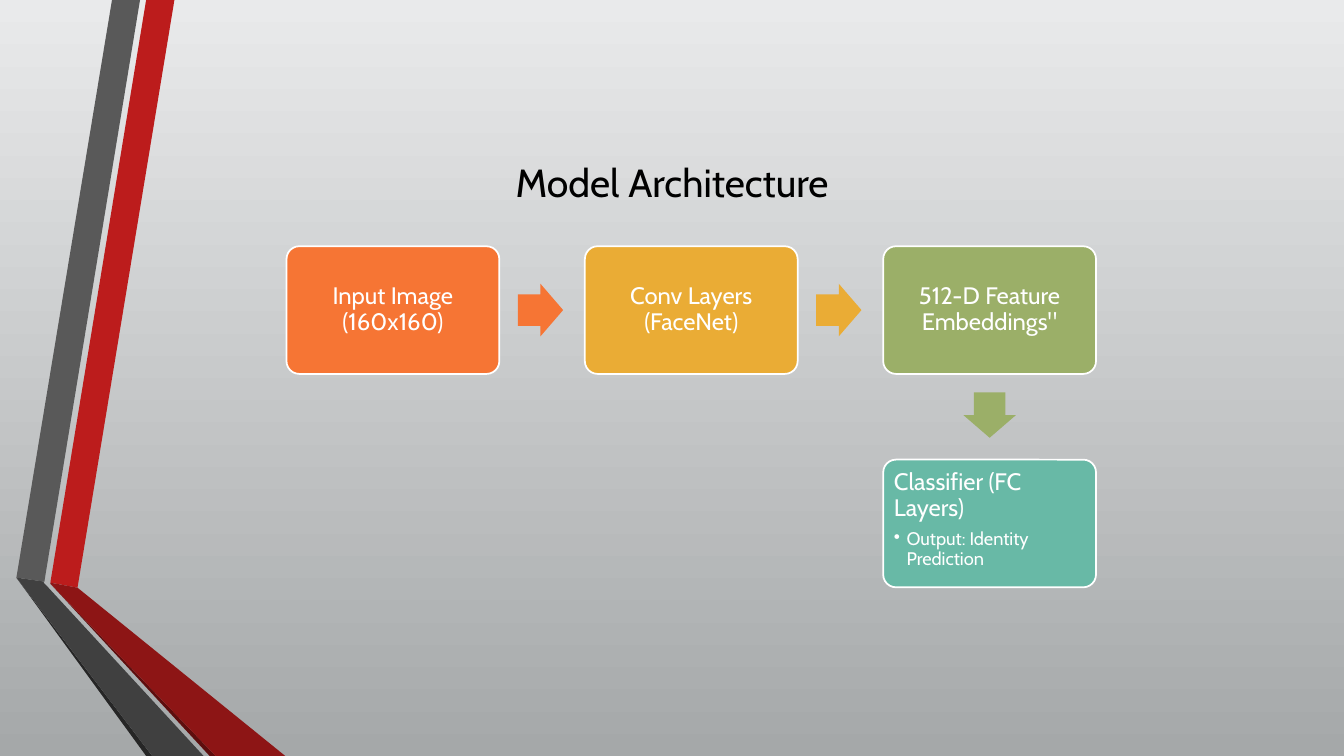
from dataclasses import dataclass

from lxml import etree
from pptx import Presentation
from pptx.dml.color import RGBColor
from pptx.enum.shapes import MSO_SHAPE
from pptx.enum.text import MSO_ANCHOR, PP_ALIGN
from pptx.oxml.ns import qn
from pptx.util import Pt

ROUNDED = MSO_SHAPE.ROUNDED_RECTANGLE
ARROW = MSO_SHAPE.RIGHT_ARROW
MIDDLE, TOP = MSO_ANCHOR.MIDDLE, MSO_ANCHOR.TOP
CENTER, LEFT = PP_ALIGN.CENTER, PP_ALIGN.LEFT


@dataclass(frozen=True)
class Theme:
    font: str = "Cabin"
    title_size: float = 28
    step_size: float = 17
    detail_size: float = 13
    title_color: str = "000000"
    step_color: str = "FFFFFF"
    background: tuple = ("E9EAEB", "A5A8A9")


THEME = Theme()

TITLE = "Model Architecture"
STEPS = [
    {"text": "Input Image (160x160)", "color": "F67534", "column": 0, "row": 0},
    {"text": "Conv Layers (FaceNet)", "color": "EAAC35", "column": 1, "row": 0},
    {"text": '512-D Feature Embeddings"', "color": "9BAF68", "column": 2, "row": 0},
    {"text": "Classifier (FC Layers)", "color": "68B9A6", "column": 2, "row": 1,
     "detail": "Output: Identity Prediction"},
]
RIBBONS = [
    ("BC1C1C", [(36, 416.2), (55.4, 419.8), (124.6, 0), (104.4, 0)]),
    ("595959", [(100, 0), (80, 0), (11.7, 412.6), (31.7, 415.5)]),
    ("262626", [(11.7, 412.6), (104.4, 540), (108.7, 540)]),
    ("5E0E0E", [(36, 416.9), (149.8, 540), (154.1, 540)]),
    ("8D1515", [(36, 416.2), (36, 416.9), (154.1, 540), (203.8, 540), (55.4, 419.8)]),
    ("404040", [(145.4, 540), (34.6, 419.8), (31, 416.2), (31.7, 415.5),
                (11.7, 412.6), (108.7, 540)]),
]

SLIDE_WIDTH, SLIDE_HEIGHT = 960, 540
GRID_LEFT, GRID_TOP = 204.7, 175.9
STEP_WIDTH, STEP_HEIGHT = 152, 91.2
COLUMN_PITCH, ROW_PITCH = 213.1, 152.4
ARROW_WIDTH, ARROW_HEIGHT = 32.4, 37.6
ARROW_SHIFT = 1.2


def paint(shape, color, line=None):
    shape.shadow.inherit = False
    shape.fill.solid()
    shape.fill.fore_color.rgb = RGBColor.from_string(color)
    if line:
        shape.line.color.rgb = RGBColor.from_string(line)
        shape.line.width = Pt(1.25)
    else:
        shape.line.fill.background()


def write(paragraph, text, *, size, color, align, spacing=None, after=None, bullet=False):
    if bullet:
        properties = paragraph._p.get_or_add_pPr()
        properties.set("lvl", "1")
        properties.set("marL", str(Pt(9)))
        properties.set("indent", str(-Pt(9)))
        etree.SubElement(properties, qn("a:buChar")).set("char", "•")
    paragraph.text = text
    paragraph.alignment = align
    if spacing:
        paragraph.line_spacing = spacing
    if after:
        paragraph.space_after = Pt(after)
    font = paragraph.runs[0].font
    font.name = THEME.font
    font.size = Pt(size)
    font.color.rgb = RGBColor.from_string(color)


def add_ribbon(slide, color, points):
    corners = [(Pt(x), Pt(y)) for x, y in points]
    builder = slide.shapes.build_freeform(*corners[0], scale=1)
    builder.add_line_segments(corners[1:], close=True)
    paint(builder.convert_to_shape(), color)


def step_origin(step):
    return GRID_LEFT + step["column"] * COLUMN_PITCH, GRID_TOP + step["row"] * ROW_PITCH


def add_step(slide, step):
    left, top = step_origin(step)
    shape = slide.shapes.add_shape(ROUNDED, Pt(left), Pt(top), Pt(STEP_WIDTH), Pt(STEP_HEIGHT))
    shape.adjustments[0] = 0.1
    paint(shape, step["color"], line=THEME.step_color)
    detail = step.get("detail")
    frame = shape.text_frame
    frame.word_wrap = True
    frame.vertical_anchor = TOP if detail else MIDDLE
    frame.margin_left = frame.margin_right = frame.margin_top = frame.margin_bottom = Pt(5)
    write(frame.paragraphs[0], step["text"], size=THEME.step_size, color=THEME.step_color,
          align=LEFT if detail else CENTER, spacing=0.9, after=6)
    if detail:
        write(frame.add_paragraph(), detail, size=THEME.detail_size, color=THEME.step_color,
              align=LEFT, spacing=0.9, after=2, bullet=True)


def add_arrow(slide, step, following):
    left, top = step_origin(step)
    next_left, next_top = step_origin(following)
    across = next_left > left
    center_x = (left + next_left + STEP_WIDTH) / 2 - ARROW_SHIFT * across
    center_y = (top + next_top + STEP_HEIGHT) / 2 - ARROW_SHIFT * (not across)
    shape = slide.shapes.add_shape(ARROW, Pt(center_x - ARROW_WIDTH / 2),
                                   Pt(center_y - ARROW_HEIGHT / 2),
                                   Pt(ARROW_WIDTH), Pt(ARROW_HEIGHT))
    shape.adjustments[0], shape.adjustments[1] = 0.6, 0.5
    shape.rotation = 0 if across else 90
    paint(shape, step["color"])


def main():
    presentation = Presentation()
    presentation.slide_width, presentation.slide_height = Pt(SLIDE_WIDTH), Pt(SLIDE_HEIGHT)
    slide = presentation.slides.add_slide(presentation.slide_layouts[5])

    background = slide.background.fill
    background.gradient()
    background.gradient_angle = 270
    for stop, position, color in zip(background.gradient_stops, (0, 1), THEME.background):
        stop.position = position
        stop.color.rgb = RGBColor.from_string(color)

    for color, points in RIBBONS:
        add_ribbon(slide, color, points)

    for step in STEPS:
        add_step(slide, step)
    for step, following in zip(STEPS, STEPS[1:]):
        add_arrow(slide, step, following)

    title = slide.shapes.title
    title.left, title.top, title.width, title.height = Pt(314), Pt(109.5), Pt(332), Pt(41)
    title.text_frame.vertical_anchor = MIDDLE
    write(title.text_frame.paragraphs[0], TITLE, size=THEME.title_size,
          color=THEME.title_color, align=CENTER)

    presentation.save("out.pptx")


if __name__ == "__main__":
    main()
